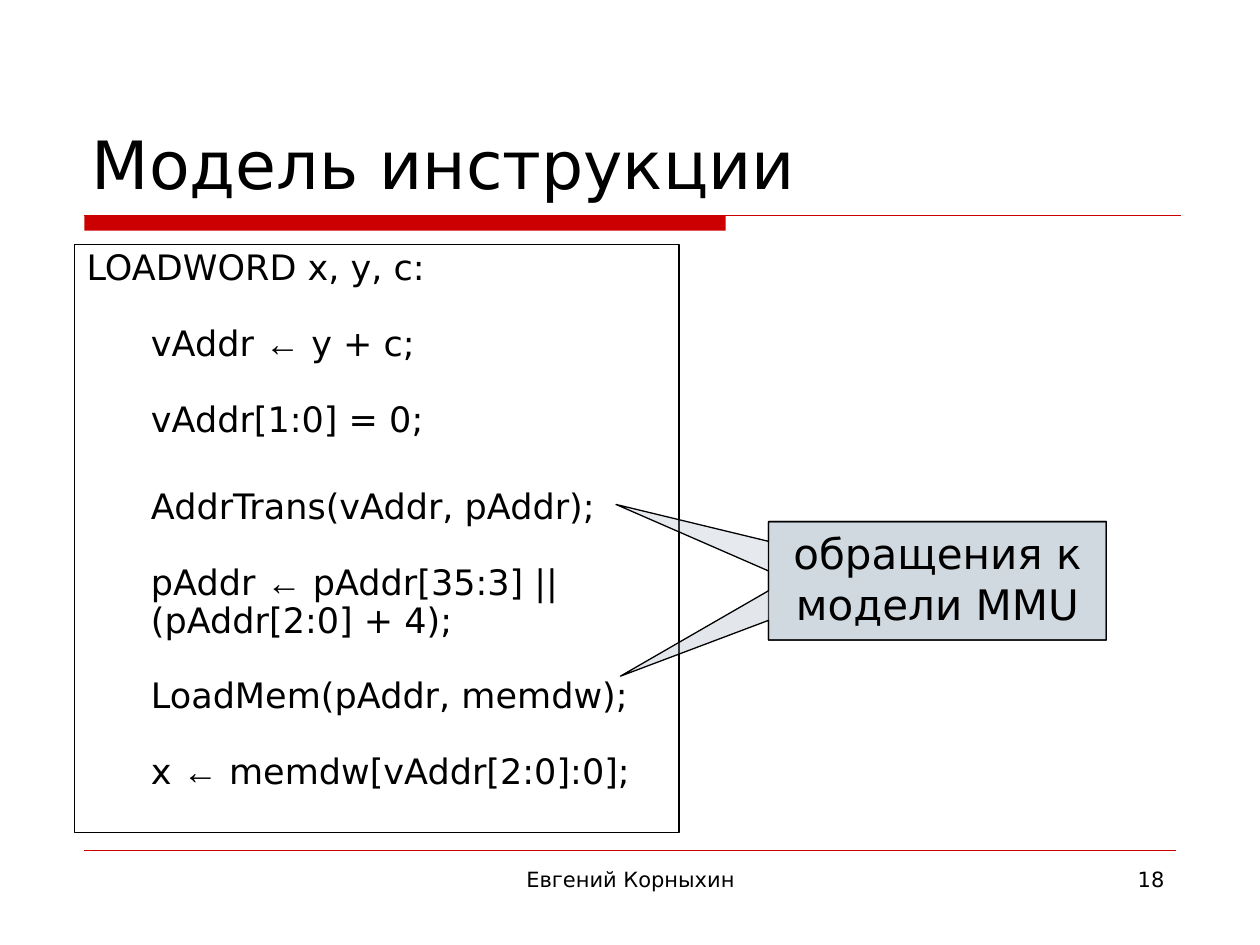
from lxml import etree
from pptx import Presentation
from pptx import util as u
from pptx.dml.color import RGBColor
from pptx.enum import shapes, text
from pptx.oxml.ns import qn

# Content
TITLE = "Модель инструкции"
AUTHOR, PAGE = "Евгений Корныхин", "18"
# (line of the instruction model, left indent in inches, space before in points)
MODEL = [
    ("LOADWORD x, y, c:", 0, 0),
    ("vAddr ← y + c;", 0.51, 21.6),
    ("vAddr[1:0] = 0;", 0.51, 21.6),
    ("AddrTrans(vAddr, pAddr);", 0.51, 28.5),
    ("pAddr ← pAddr[35:3] ||\v(pAddr[2:0] + 4);", 0.51, 21.6),
    ("LoadMem(pAddr, memdw);", 0.51, 21.6),
    ("x ← memdw[vAddr[2:0]:0];", 0.51, 21.6),
]
NOTE = "обращения к модели MMU"
# (pointer x, pointer y, opacity in percent, text)
CALLOUTS = [(-0.952, -0.645, 27, ""), (-0.939, 0.805, 30, NOTE)]
CALLOUT_BOX = (6.1, 4.14, 2.68, 0.94)

RED, BLACK, GREY = "CC0000", "000000", "A3B2C1"
FONT, ARROW_FONT = "DejaVu Sans", "Arial"
LEFT, CENTER, RIGHT = text.PP_ALIGN.LEFT, text.PP_ALIGN.CENTER, text.PP_ALIGN.RIGHT

presentation = Presentation()
presentation.slide_width, presentation.slide_height = u.Inches(10), u.Inches(7.5)
slide = presentation.slides.add_slide(presentation.slide_layouts[6])


def color(value):
    return RGBColor.from_string(value)


def add_box(kind, box, fill=None, line=None):
    shape = slide.shapes.add_shape(kind, *map(u.Inches, box))
    shape.shadow.inherit = False
    if fill:
        shape.fill.solid()
        shape.fill.fore_color.rgb = color(fill)
    else:
        shape.fill.background()
    if line:
        shape.line.color.rgb = color(line)
        shape.line.width = u.Pt(0.75)
    else:
        shape.line.fill.background()
    return shape


def add_rule(x1, x2, y, width):
    rule = slide.shapes.add_connector(
        shapes.MSO_CONNECTOR.STRAIGHT, *map(u.Inches, (x1, y, x2, y)))
    rule.line.color.rgb = color(RED)
    rule.line.width = u.Pt(width)
    etree.SubElement(rule._element.spPr, qn("a:effectLst"))


def write(shape, lines, size, align=LEFT, anchor=text.MSO_ANCHOR.TOP, spacing=None):
    """Fill a shape with (text, indent, space before) lines."""
    frame = shape.text_frame
    frame.word_wrap = True
    frame.vertical_anchor = anchor
    for index, (content, indent, before) in enumerate(lines):
        paragraph = frame.paragraphs[0] if index == 0 else frame.add_paragraph()
        paragraph.alignment = align
        paragraph.line_spacing = spacing
        if before:
            paragraph.space_before = u.Pt(before)
        if indent:
            paragraph._p.get_or_add_pPr().set("marL", str(u.Inches(indent)))
        paragraph.text = content.replace("←", "") if content == "←" else ""
        head, arrow, tail = content.partition("←")
        for part, font in ((head, FONT), (arrow, ARROW_FONT), (tail, FONT)):
            for number, piece in enumerate(part.split("\v")):
                if number:
                    paragraph.add_line_break()
                if piece:
                    run = paragraph.add_run()
                    run.text = piece
                    run.font.name = font
                    run.font.size = u.Pt(size)
                    run.font.color.rgb = color(BLACK)


def add_text(content, box, size, **layout):
    write(slide.shapes.add_textbox(*map(u.Inches, box)), [(content, 0, 0)], size, **layout)


# Red bar and rules
add_box(shapes.MSO_SHAPE.RECTANGLE, (0.67, 1.71, 5.09, 0.12), fill=RED)
add_rule(0.67, 9.37, 1.71, 0.75)
add_rule(0.67, 9.33, 6.75, 0.25)

# Footer and title
add_text(AUTHOR, (3.42, 6.83, 3.17, 0.52), 12, align=CENTER)
add_text(PAGE, (7.17, 6.83, 2.17, 0.52), 12, align=RIGHT)
add_text(TITLE, (0.63, 0.33, 8.75, 1.33), 38, anchor=text.MSO_ANCHOR.BOTTOM)

# Instruction model
model = add_box(shapes.MSO_SHAPE.RECTANGLE, (0.59, 1.94, 4.8, 4.67), line=BLACK)
write(model, MODEL, 20, spacing=0.9)

# Two callouts share one box and point at the two memory calls
for pointer_x, pointer_y, opacity, note in CALLOUTS:
    callout = add_box(shapes.MSO_SHAPE.RECTANGULAR_CALLOUT, CALLOUT_BOX, GREY, BLACK)
    callout.adjustments[0], callout.adjustments[1] = pointer_x, pointer_y
    fill_color = callout._element.spPr.find(qn("a:solidFill"))[0]
    etree.SubElement(fill_color, qn("a:alpha"), val=str(opacity * 1000))
    if note:
        write(callout, [(note, 0, 0)], 24, align=CENTER)

presentation.save("out.pptx")
